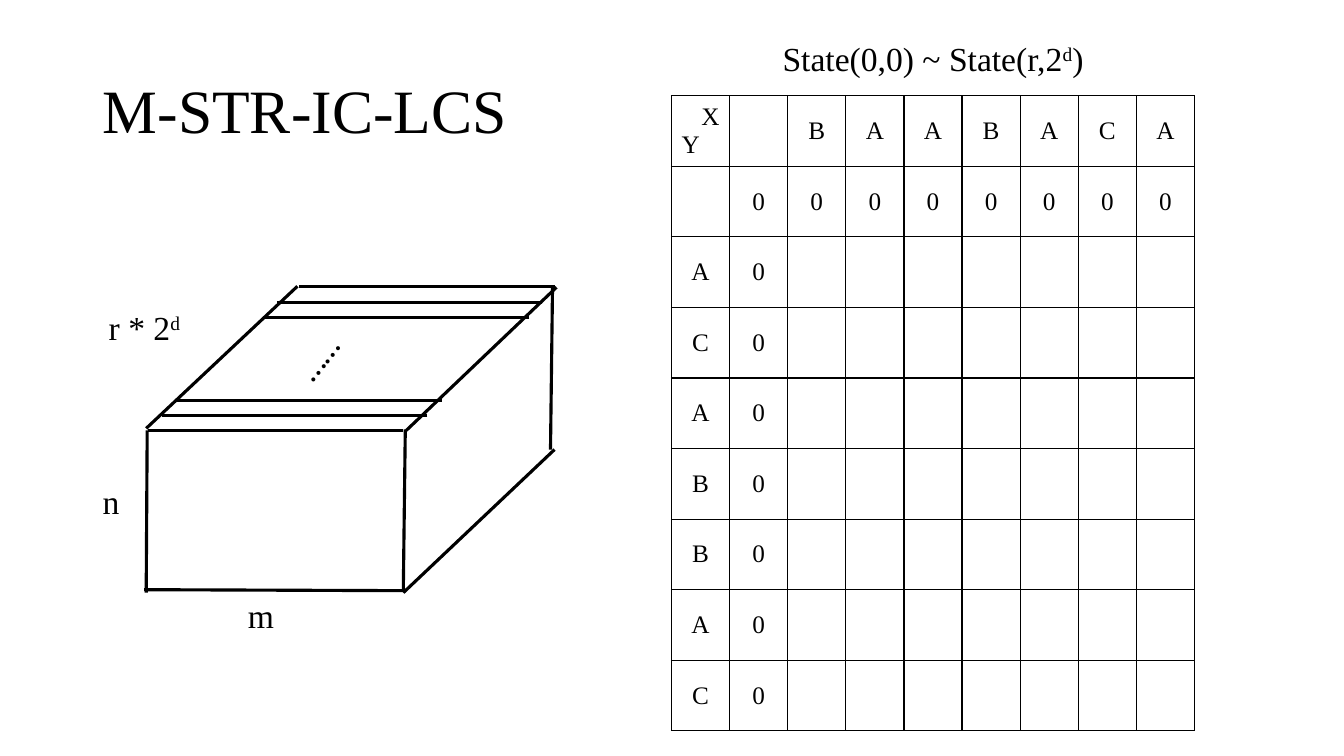
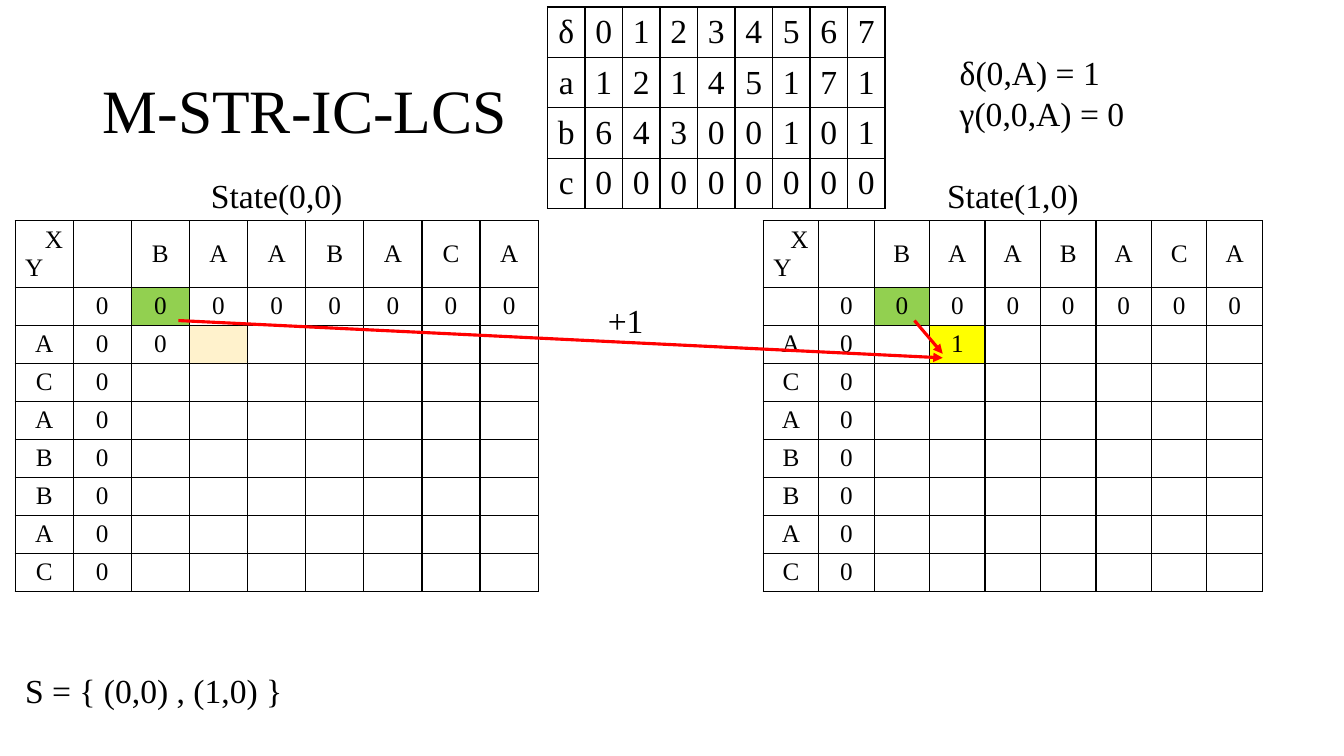
from pptx import Presentation
from pptx.dml.color import RGBColor
from pptx.enum.shapes import MSO_CONNECTOR
from pptx.enum.text import MSO_ANCHOR, PP_ALIGN
from pptx.oxml.ns import qn
from pptx.util import Inches, Pt
from lxml.etree import SubElement

BLACK = RGBColor(0x00, 0x00, 0x00)
WHITE = RGBColor(0xFF, 0xFF, 0xFF)
RED = RGBColor(0xFF, 0x00, 0x00)
GREEN = RGBColor(0x92, 0xD0, 0x50)
CREAM = RGBColor(0xFF, 0xF2, 0xCC)
YELLOW = RGBColor(0xFF, 0xFF, 0x00)

X_LETTERS = "BAABACA"
Y_LETTERS = "ACABBAC"
TRANSITIONS = ["δ01234567", "a12145171", "b64300101", "c00000000"]

BOX_EDGES = [
    (4, 4.27, 1.47, 4.27),
    (5.5, 4.46, 4, 5.88),
    (4.02, 5.86, 1.43, 5.85),
    (1.46, 4.27, 1.45, 5.88),
    (4.02, 4.26, 4, 5.86),
    (5.48, 2.85, 5.46, 4.46),
    (5.5, 2.84, 2.97, 2.84),
    (5.52, 2.85, 4.03, 4.27),
    (2.95, 2.84, 1.45, 4.25),
]
LAYER_WIDTH = 2.63
LAYERS = [(1.61, 4.12), (1.75, 3.97), (2.75, 3), (2.62, 3.15)]


class SlideBuilder:
    font = "Times New Roman"
    text_size = 24
    cell_size = 18
    title_size = 44

    def __init__(self):
        self.deck = Presentation()
        self.deck.slide_width = Inches(13.33)
        self.deck.slide_height = Inches(7.5)
        self.page = None

    def style(self, paragraph, size, font=None, align=PP_ALIGN.LEFT):
        paragraph.alignment = align
        paragraph.font.name = font or self.font
        paragraph.font.size = Pt(size)
        paragraph.font.color.rgb = BLACK

    def add_spans(self, paragraph, text):
        for index, part in enumerate(text.split("^")):
            if part:
                span = paragraph.add_run()
                span.text = part
                if index % 2:
                    span._r.get_or_add_rPr().set("baseline", "30000")

    def new_page(self, title):
        self.page = self.deck.slides.add_slide(self.deck.slide_layouts[5])
        box = self.page.shapes.title
        box.left, box.top = Inches(0.92), Inches(0.4)
        box.width, box.height = Inches(11.5), Inches(1.45)
        box.text_frame.vertical_anchor = MSO_ANCHOR.MIDDLE
        box.text_frame.text = title
        para = box.text_frame.paragraphs[0]
        para.line_spacing = 0.9
        self.style(para, self.title_size)

    def text(self, left, top, width, height, lines, font=None, rotation=0):
        box = self.page.shapes.add_textbox(
            Inches(left), Inches(top), Inches(width), Inches(height))
        box.rotation = rotation
        frame = box.text_frame
        frame.word_wrap = True
        for index, line in enumerate(lines):
            para = frame.add_paragraph() if index else frame.paragraphs[0]
            self.add_spans(para, line)
            self.style(para, self.text_size, font)

    def line(self, x1, y1, x2, y2, color=BLACK, arrow=False):
        connector = self.page.shapes.add_connector(
            MSO_CONNECTOR.STRAIGHT, Inches(x1), Inches(y1), Inches(x2), Inches(y2))
        connector.line.color.rgb = color
        connector.line.width = Pt(2.25)
        if arrow:
            SubElement(connector.line._get_or_add_ln(), qn("a:tailEnd"), type="triangle")
        SubElement(connector._element.spPr, qn("a:effectLst"))

    def border(self, cell, sides):
        properties = cell._tc.get_or_add_tcPr()
        for side in sides:
            edge = SubElement(properties, qn(f"a:ln{side}"), w=str(Pt(1)))
            fill = SubElement(edge, qn("a:solidFill"))
            SubElement(fill, qn("a:srgbClr"), val=str(BLACK))

    def cell(self, cell, text, size, sides="LRTB", fill=WHITE, align=PP_ALIGN.CENTER):
        cell.margin_top = cell.margin_bottom = 0
        cell.margin_left = cell.margin_right = Inches(0.05)
        cell.vertical_anchor = MSO_ANCHOR.MIDDLE
        self.border(cell, sides)
        cell.fill.solid()
        cell.fill.fore_color.rgb = fill
        para = cell.text_frame.paragraphs[0]
        self.add_spans(para, text)
        self.style(para, size, align=align)

    def grid(self, left, top, column_width, column_count, row_heights):
        frame = self.page.shapes.add_table(
            len(row_heights), column_count, Inches(left), Inches(top),
            Inches(column_width * column_count), Inches(sum(row_heights)))
        table = frame.table
        table.first_row = table.horz_banding = False
        for column in table.columns:
            column.width = Inches(column_width)
        for row, height in zip(table.rows, row_heights):
            row.height = Inches(height)
        return table

    def state_table(self, left, top, column_width, row_heights, title, values=None, fills=None):
        count = len(X_LETTERS) + 2
        rows = [["", "", *X_LETTERS], ["", *["0"] * (count - 1)]]
        rows += [[letter, "0", *[""] * (count - 2)] for letter in Y_LETTERS]
        for (row, column), value in (values or {}).items():
            rows[row][column] = value
        table = self.grid(left, top, column_width, count, row_heights)
        for column in range(count):
            self.cell(table.cell(0, column), "" if column else title, self.text_size, "B")
        table.cell(0, 0).merge(table.cell(0, count - 1))
        for row, texts in enumerate(rows):
            for column, text in enumerate(texts):
                fill = (fills or {}).get((row, column), WHITE)
                self.cell(table.cell(row + 1, column), text, self.cell_size, fill=fill)
        self.corner(table.cell(1, 0))

    def corner(self, cell):
        cell.margin_left = cell.margin_right = Inches(0.1)
        first = cell.text_frame.paragraphs[0]
        second = cell.text_frame.add_paragraph()
        self.add_spans(first, "X")
        self.add_spans(second, "Y")
        self.style(first, self.cell_size, align=PP_ALIGN.RIGHT)
        self.style(second, self.cell_size)

    def plain_table(self, left, top, column_width, row_height, rows):
        table = self.grid(left, top, column_width, len(rows[0]), [row_height] * len(rows))
        for row, texts in enumerate(rows):
            for column, text in enumerate(texts):
                self.cell(table.cell(row, column), text, self.text_size)


def build_overview(builder):
    builder.new_page("M-STR-IC-LCS")
    for edge in BOX_EDGES:
        builder.line(*edge)
    for left, top in LAYERS:
        builder.line(left + LAYER_WIDTH, top, left, top)
    builder.text(2.36, 5.85, 0.51, 0.63, ["m"])
    builder.text(0.92, 4.72, 0.51, 0.63, ["n"])
    builder.text(0.98, 3, 1.23, 0.63, ["r * 2^d"])
    builder.text(2.64, 2.82, 1.81, 0.62, ["……"], font="Calibri", rotation=308.2)
    builder.state_table(6.66, 0.25, 5.19 / 9, [0.7] * 10, "State(0,0) ~ State(r,2^d^)")


def build_transition(builder):
    builder.new_page("M-STR-IC-LCS")
    row_heights = [0.46, 0.66] + [3.02 / 8] * 8
    builder.state_table(0.15, 1.73, 5.19 / 9, row_heights, "State(0,0)",
                        values={(2, 2): "0"}, fills={(1, 2): GREEN, (2, 3): CREAM})
    builder.state_table(7.57, 1.73, 0.55, row_heights, "State(1,0)",
                        values={(2, 3): "1"}, fills={(1, 2): GREEN, (2, 3): YELLOW})
    builder.text(0.15, 6.6, 4.36, 0.5, ["S = { (0,0) , (1,0) }"])
    builder.line(1.77, 3.18, 9.35, 3.55, RED, arrow=True)
    builder.line(9.07, 3.18, 9.35, 3.51, RED, arrow=True)
    builder.text(5.93, 2.93, 0.82, 0.5, ["+1"])
    builder.plain_table(5.43, 0.07, 3.35 / 9, 0.5, TRANSITIONS)
    builder.text(9.42, 0.47, 2.02, 1.31, ["δ(0,A) = 1", "γ(0,0,A) = 0"])


def main():
    builder = SlideBuilder()
    build_overview(builder)
    build_transition(builder)
    builder.deck.save("out.pptx")


if __name__ == "__main__":
    main()
